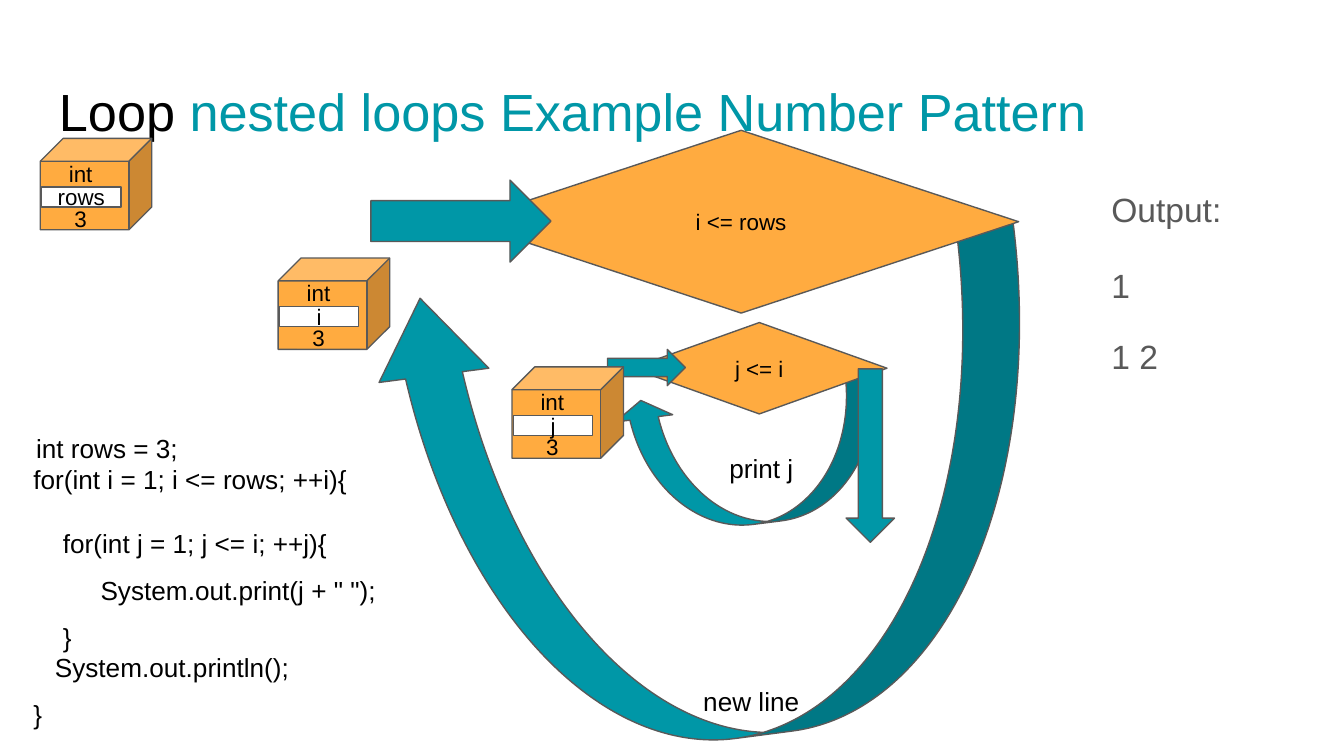
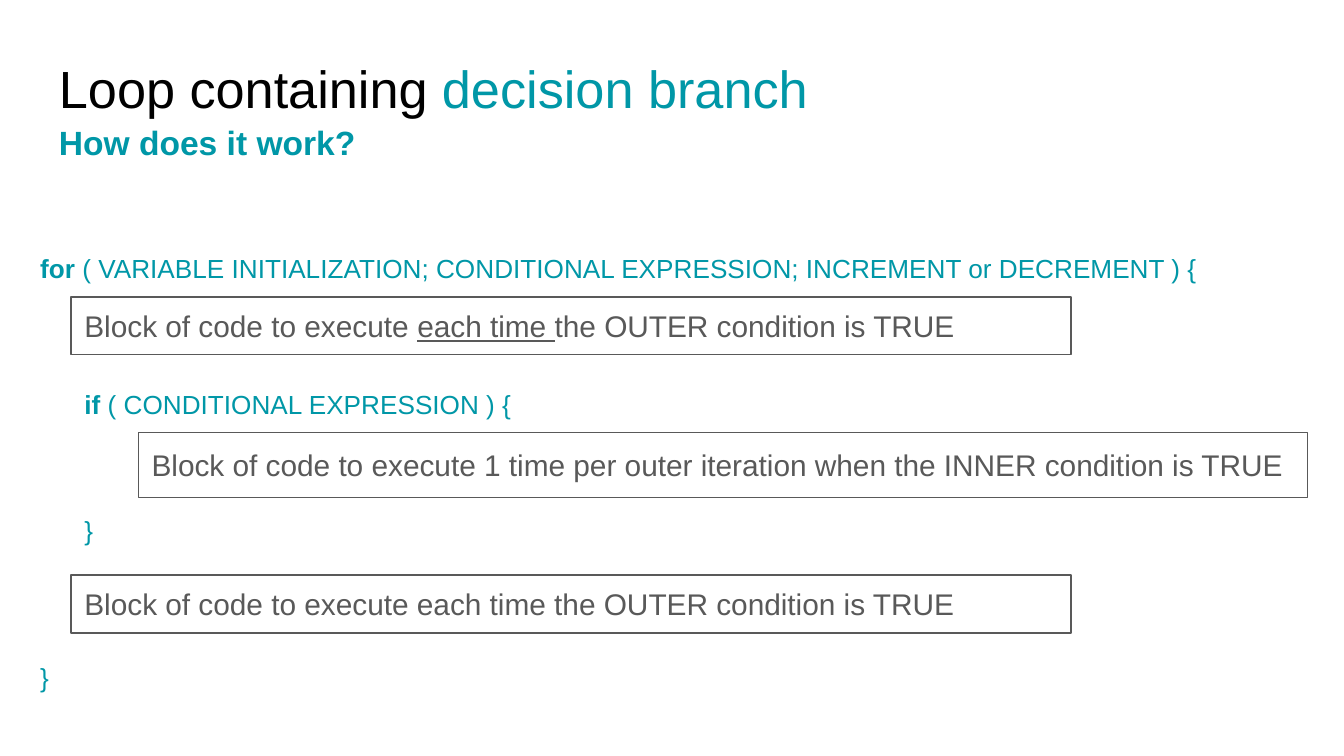
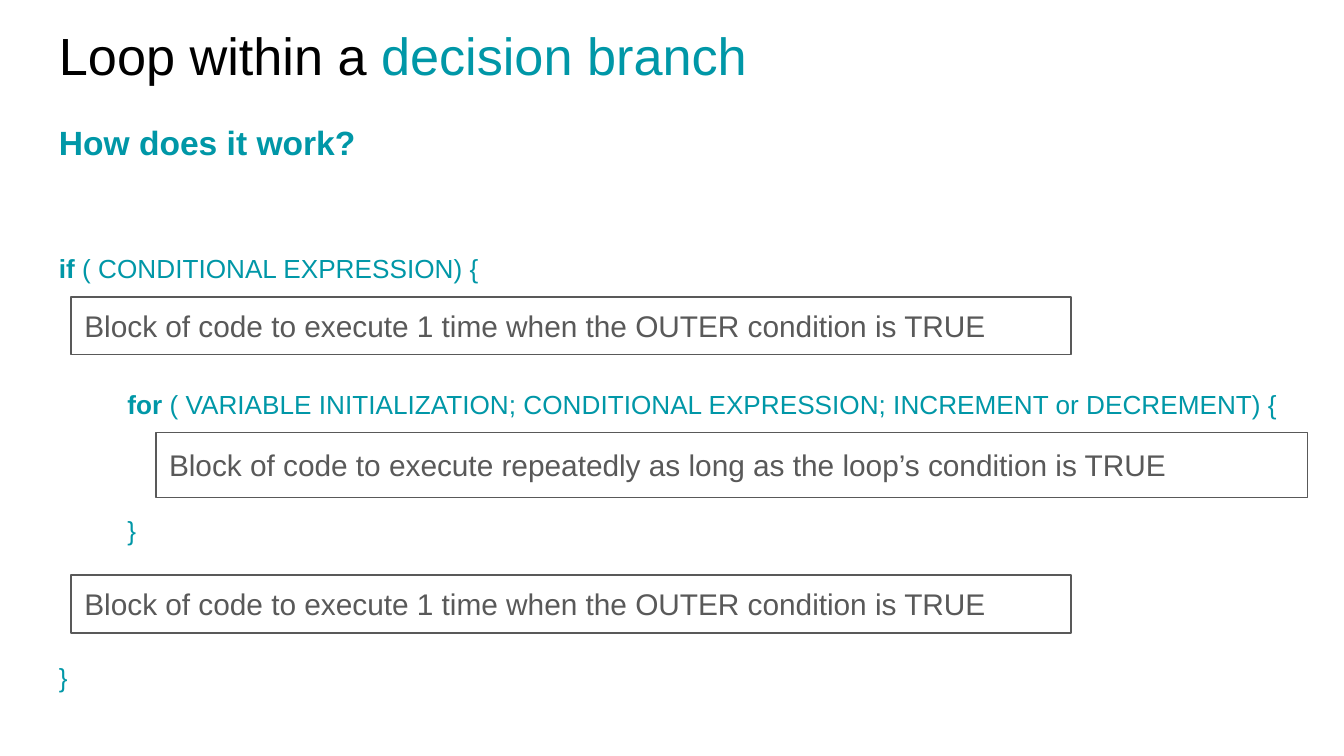
from pptx import Presentation
from pptx.dml.color import RGBColor
from pptx.enum import shapes, text
from pptx.util import Inches, Pt

TEAL = RGBColor(0x00, 0x97, 0xA7)
ORANGE = RGBColor(0xFF, 0xAB, 0x40)
GREY = RGBColor(0x59, 0x59, 0x59)
BLACK = RGBColor(0, 0, 0)
WHITE = RGBColor(0xFF, 0xFF, 0xFF)
FONT = "Arial"
CODE_SIZE = 14
CODE_LINE = 16.85  # points taken by one single-spaced line of code
KIND = shapes.MSO_SHAPE
TOP, MIDDLE = text.MSO_ANCHOR.TOP, text.MSO_ANCHOR.MIDDLE
LEFT, CENTER = text.PP_ALIGN.LEFT, text.PP_ALIGN.CENTER


def write(slide, box, paragraphs, size, color=BLACK, align=LEFT, anchor=TOP, shape=None):
    """Fill shape, or a new text box, with paragraphs that are lists of (text, font settings)."""
    shape = shape or slide.shapes.add_textbox(*map(Inches, box))
    frame = shape.text_frame
    frame.word_wrap = True
    frame.vertical_anchor = anchor
    frame.margin_left = frame.margin_right = Inches(0.1)
    frame.margin_top = frame.margin_bottom = Inches(0.1)
    for index, pieces in enumerate(paragraphs):
        paragraph = frame.add_paragraph() if index else frame.paragraphs[0]
        paragraph.alignment = align
        for words, settings in pieces:
            run = paragraph.add_run()
            run.text = words
            run.font.name = FONT
            run.font.size = Pt(size)
            run.font.color.rgb = settings.get("color", color)
            run.font.bold = settings.get("bold", False)
            run.font.underline = settings.get("underline", False)
    return frame.paragraphs


def draw(slide, kind, box, fill=None, outlined=True, rotation=0, adjust=()):
    shape = slide.shapes.add_shape(kind, *map(Inches, box))
    shape.shadow.inherit = False
    shape.rotation = rotation
    for index, value in enumerate(adjust):
        shape.adjustments[index] = value
    if fill is None:
        shape.fill.background()
    else:
        shape.fill.solid()
        shape.fill.fore_color.rgb = fill
    if outlined:
        shape.line.color.rgb = GREY
        shape.line.width = Pt(0.75)
    else:
        shape.line.fill.background()
    return shape


deck = Presentation()
deck.slide_width, deck.slide_height = Inches(10), Inches(10 * 9 / 16)

titles = [
    (0.49, "Loop ", "nested loops Example Number Pattern"),
    (0.32, "Loop containing ", "decision branch"),
    (0.07, "Loop within a ", "decision branch"),
]
for top, start, topic in titles:
    slide = deck.slides.add_slide(deck.slide_layouts[6])
    write(slide, (0.34, top, 9.32, 0.63), [[(start, {}), (topic, {"color": TEAL})]], 28)
pattern, *branches = deck.slides

# Nested loops: printed output
output = write(pattern, (8.17, 1.26, 1.49, 3.74),
               [[(line, {})] for line in ("Output:", "1", "1 2")], 18, GREY)
for paragraph, gap in zip(output, (0, 16, 13)):
    paragraph.line_spacing = 1.15
    paragraph.space_before = Pt(gap)

# Nested loops: each loop is a return arrow, a condition, an entry arrow and a caption
loops = [
    ("i <= rows", (3.45, 0.97, 4.13, 1.36), (2.76, 1.34, 1.34, 0.61),
     (3.58, 1.29, 3.55, 4.86), 82.6, (0.12, 0.232, 0.164),
     "new line", (4.34, 4.95, 2.5, 0.54)),
    ("j <= i", (4.7, 2.4, 1.9, 0.68), (4.52, 2.6, 0.58, 0.27),
     (5.08, 2.41, 1.02, 1.96), 82.8, (0.208, 0.422, 0.133),
     "print j", (5.12, 3.36, 1.09, 0.24)),
]
for condition, diamond, entry, back, turn, bend, caption, caption_box in loops:
    draw(pattern, KIND.CURVED_LEFT_ARROW, back, TEAL, rotation=turn, adjust=bend)
    decision = draw(pattern, KIND.FLOWCHART_DECISION, diamond, ORANGE)
    write(pattern, None, [[(condition, {})]], 12, align=CENTER, anchor=MIDDLE, shape=decision)
    draw(pattern, KIND.RIGHT_ARROW, entry, TEAL)
    write(pattern, caption_box, [[(caption, {})]], 14, align=CENTER, anchor=MIDDLE)

# Nested loops: variables as labelled cubes
for name, left, top in [("rows", 0.3, 1.03), ("i", 2.07, 1.92), ("j", 3.81, 2.73)]:
    draw(pattern, KIND.CUBE, (left, top, 0.83, 0.68), ORANGE, adjust=[0.25])
    write(pattern, (left + 0.05, top + 0.06, 0.5, 0.2), [[("int", {})]], 12, align=CENTER)
    value = draw(pattern, KIND.RECTANGLE, (left + 0.14, top + 0.52, 0.32, 0.15), ORANGE, False)
    label = draw(pattern, KIND.RECTANGLE, (left + 0.01, top + 0.36, 0.59, 0.15), WHITE)
    for part, words in [(value, "3"), (label, name)]:
        write(pattern, None, [[(words, {})]], 12, align=CENTER, anchor=MIDDLE, shape=part)

draw(pattern, KIND.RIGHT_ARROW, (5.83, 3.21, 1.29, 0.36), TEAL, rotation=90)

# Nested loops: code, each line with its indent in inches and the lines left free above it
listings = [
    ((0.17, 3, 2.5, 0.49), [("int rows = 3;", 0, 0)]),
    ((0.15, 3.23, 3.89, 2.27), [("for(int i = 1; i <= rows; ++i){", 0, 0),
                                ("System.out.println();", 0.16, 3),
                                ("}", 0, 0)]),
    ((0.15, 3.71, 2.86, 1.15), [("for(int j = 1; j <= i; ++j){", 0.22, 0),
                                ("System.out.print(j + \" \");", 0.5, 0),
                                ("}", 0.22, 0)]),
]
for box, lines in listings:
    written = write(pattern, box, [[(line, {})] for line, _, _ in lines], CODE_SIZE)
    for paragraph, (_, indent, free) in zip(written, lines):
        paragraph.line_spacing = 1.5
        paragraph.space_before = Pt(free * 1.5 * CODE_LINE)
        paragraph._p.get_or_add_pPr().set("marL", str(Inches(indent)))

# Decision branches: outer and inner statement (left, keyword, header), then the three blocks
LOOP = "( VARIABLE INITIALIZATION; CONDITIONAL EXPRESSION; INCREMENT or DECREMENT"
branch_content = [
    ((0.2, "for ", LOOP + " ) {"),
     (0.53, "if ", "( CONDITIONAL EXPRESSION ) {"),
     [("Block of code to execute ", {}), ("each time ", {"underline": True}),
      ("the OUTER condition is TRUE", {})],
     1.03,
     "Block of code to execute 1 time per outer iteration when the INNER condition is TRUE",
     "Block of code to execute each time the OUTER condition is TRUE"),
    ((0.34, "if ", "( CONDITIONAL EXPRESSION) {"),
     (0.85, "for ", LOOP + ") {"),
     [("Block of code to execute 1 time when the OUTER condition is TRUE", {})],
     1.16,
     "Block of code to execute repeatedly as long as the loop’s condition is TRUE",
     "Block of code to execute 1 time when the OUTER condition is TRUE"),
]
for slide, (outer, inner, before, inner_left, repeated, after) in zip(branches, branch_content):
    write(slide, (0.34, 0.81, 4.66, 0.48), [[("How does it work?", {"bold": True})]], 18, TEAL)
    for (left, keyword, header), top, width, height, free in [
            (outer, 1.78, 9.32, 3.74, 12), (inner, 2.79, 8.94, 1.35, 3)]:
        _, closing = write(slide, (left, top, width, height),
                           [[(keyword, {"bold": True}), (header, {})], [("}", {})]],
                           CODE_SIZE, TEAL)
        closing.space_before = Pt(free * CODE_LINE)
    for box, pieces in [((0.53, 2.21, 7.44, 0.43), before),
                        ((inner_left, 3.22, 9.73 - inner_left, 0.48), [(repeated, {})]),
                        ((0.53, 4.28, 7.44, 0.43), [(after, {})])]:
        block = draw(slide, KIND.RECTANGLE, box)
        write(slide, None, [pieces], 16, GREY, anchor=MIDDLE, shape=block)

deck.save("out.pptx")
